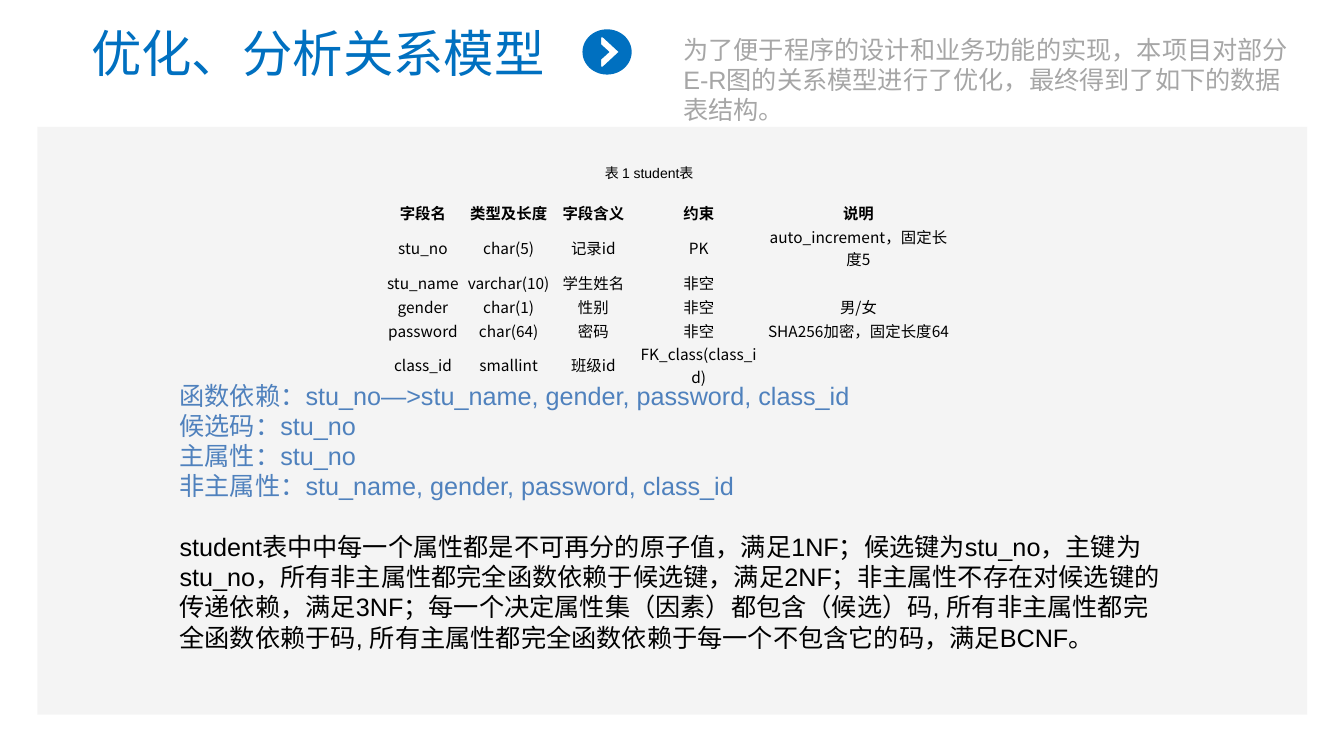
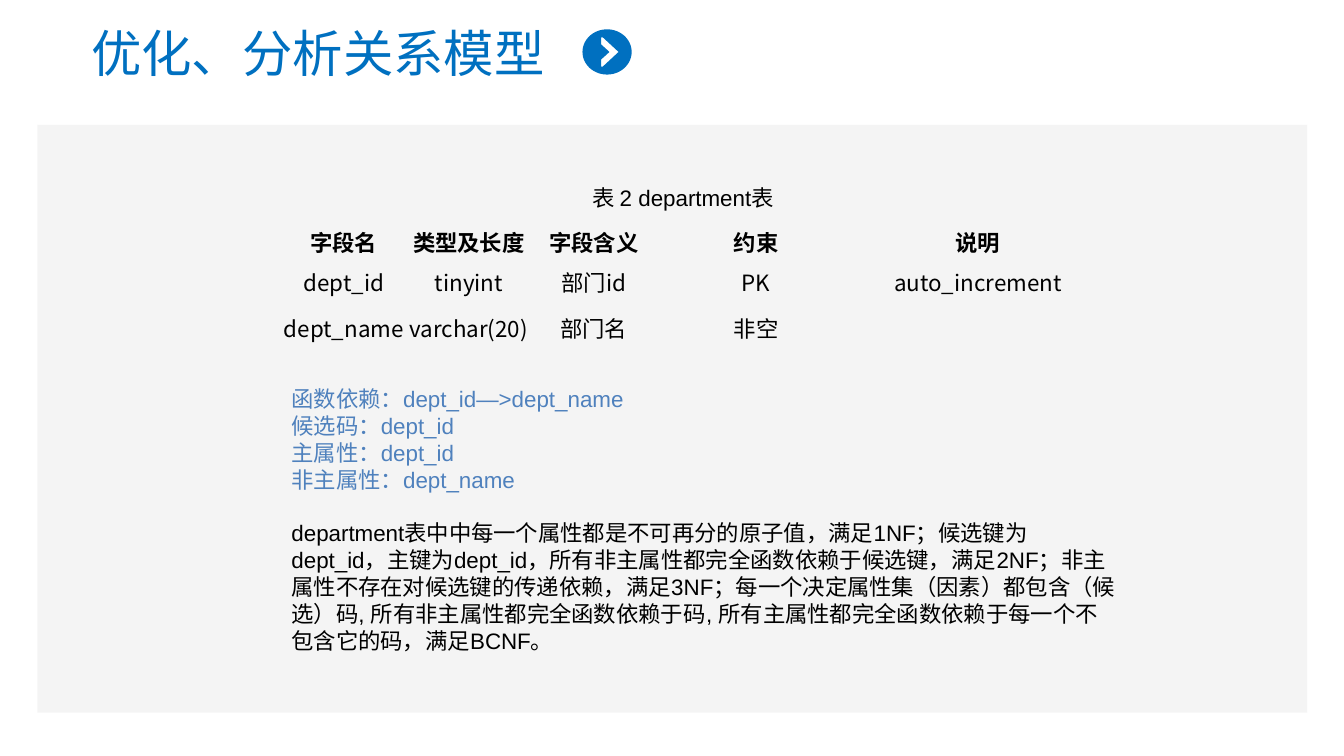
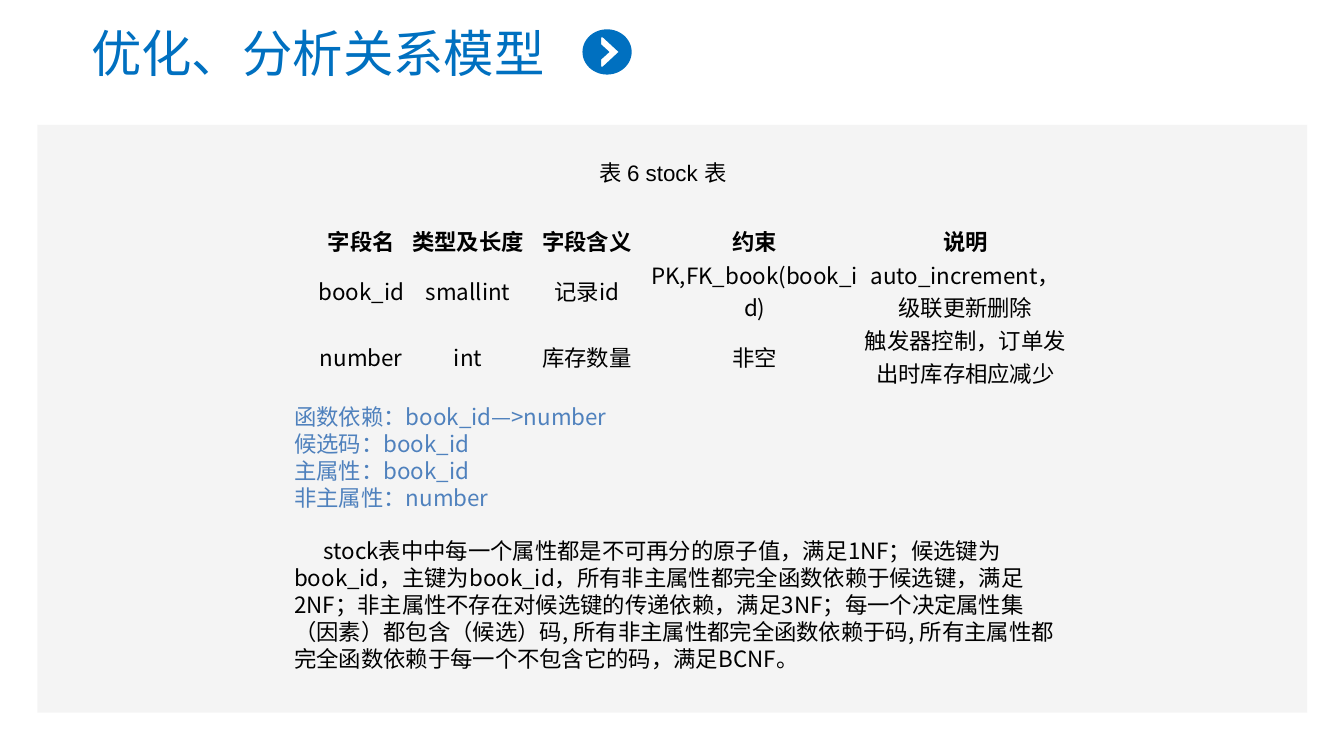
import math

from lxml import etree
from pptx import Presentation
from pptx import util as u
from pptx.dml.color import RGBColor
from pptx.enum import shapes, text
from pptx.oxml.ns import qn

HUES = {"blue": "0070C0", "note": "4F81BD", "grey": "A6A6A6",
        "panel": "F2F2F2", "black": "000000"}
SANS, CJK = "Arial", "Noto Sans CJK SC"
PLAIN = "{2D5ABB26-0587-4C30-8999-92F81FD0307C}"  # table style without grid
HEAD = ["字段名", "类型及长度", "字段含义", "约束", "说明"]
LEFT, MID = text.PP_ALIGN.LEFT, text.PP_ALIGN.CENTER


def hue(name):
    return RGBColor.from_string(HUES[name])


def box(area):
    return [u.Cm(n) for n in area]


class Deck:
    """Holds the shared style and the current slide."""

    def __init__(self):
        self.prs = Presentation()
        self.prs.slide_width, self.prs.slide_height = u.Cm(33.87), u.Cm(19.05)

    def start(self, title, top):
        """New slide with panel, title and round arrow."""
        self.slide = self.prs.slides.add_slide(self.prs.slide_layouts[1])
        self.shapes = self.slide.shapes
        self.panel((0.94, top, 32, 14.81))
        self.place(self.shapes.title, (1.7, 0.43, 12.62, 1.8))
        self.words(self.shapes.title, [title], 36, "blue", CJK, MID)
        self.arrow(15.3, 1.31)

    def panel(self, area):
        rect = self.shapes.add_shape(shapes.MSO_SHAPE.RECTANGLE, *box(area))
        self.paint(rect, "panel")
        tint = rect._element.spPr.find(qn("a:solidFill"))[0]
        etree.SubElement(tint, qn("a:alpha"), val="78000")
        self.shapes._spTree.insert(2, rect._element)  # behind the placeholders

    def paint(self, shape, name):
        shape.shadow.inherit = False
        shape.fill.solid()
        shape.fill.fore_color.rgb = hue(name)
        shape.line.fill.background()

    def arrow(self, x, y):
        """Disc with a chevron cut out of it."""
        turns = [math.tau * i / 72 for i in range(72)]
        disc = [(0.62 * math.cos(t), 0.57 * math.sin(t)) for t in turns]
        half = [(-0.11, 0.37), (-0.15, 0.37), (-0.15, 0.19)]
        notch = ([(0.29, 0)] + half + [(0.06, 0)]
                 + [(a, -b) for a, b in reversed(half)])
        rings = [[(u.Cm(x + a), u.Cm(y + b)) for a, b in ring]
                 for ring in (disc, notch)]
        pen = self.shapes.build_freeform(*rings[0][0])
        pen.add_line_segments(rings[0][1:])
        pen.move_to(*rings[1][0])
        pen.add_line_segments(rings[1][1:])
        self.paint(pen.convert_to_shape(), "blue")

    def place(self, shape, area):
        shape.left, shape.top, shape.width, shape.height = box(area)

    def style(self, para, size, name, face, align, bold=False):
        para.alignment = align
        font = para.font
        font.size, font.name, font.bold = u.Pt(size), face, bold
        font.color.rgb = hue(name)
        base = para._p.pPr.find(qn("a:defRPr"))
        etree.SubElement(base, qn("a:ea"), typeface=CJK)

    def words(self, shape, lines, size, name, face=SANS, align=LEFT):
        frame = shape.text_frame
        frame.word_wrap = True
        frame.auto_size = text.MSO_AUTO_SIZE.NONE
        frame.vertical_anchor = text.MSO_ANCHOR.TOP
        frame.text = "\n".join(lines)
        for para in frame.paragraphs:
            self.style(para, size, name, face, align)
            para.line_spacing = u.Pt(1.2 * size)
            para.space_before = u.Pt(0)
        return frame.paragraphs

    def label(self, line, area, size, name="black", align=LEFT):
        self.words(self.shapes.add_textbox(*box(area)), [line], size, name,
                   align=align)

    def table(self, spot, cols, rows, size, data):
        data = [HEAD] + data
        frame = self.shapes.add_table(len(rows), len(cols),
                                      *box((*spot, sum(cols), sum(rows))))
        grid = frame.table
        grid.first_row = grid.horz_banding = False
        grid._tbl.tblPr.find(qn("a:tableStyleId")).text = PLAIN
        for col, width in zip(grid.columns, cols):
            col.width = u.Cm(width)
        for r, (row, high) in enumerate(zip(grid.rows, rows)):
            row.height = u.Cm(high)
            for cell, word in zip(row.cells, data[r]):
                self.cell(cell, word, size, r == 0)

    def cell(self, cell, word, size, head):
        cell.fill.background()
        cell.margin_left = cell.margin_top = cell.margin_right = u.Cm(0.03)
        cell.margin_bottom = 0
        anchor = text.MSO_ANCHOR
        cell.vertical_anchor = anchor.BOTTOM if head else anchor.MIDDLE
        cell.text = word
        para = cell.text_frame.paragraphs[0]
        self.style(para, size, "black", CJK, MID, head)
        if not word:  # keeps an empty cell as low as its row
            etree.SubElement(para._p, qn("a:endParaRPr"), sz=str(size * 100))

    def notes(self, area, size, name, key, rest, face=SANS, indent=0):
        """Dependencies of a table and the normal forms it meets."""
        body = self.slide.placeholders[1]
        self.place(body, area)
        lines = [
            f"函数依赖：{key}—>{rest}",
            f"候选码：{key}",
            f"主属性：{key}",
            f"非主属性：{rest}",
            f"{name}表中中每一个属性都是不可再分的原子值，满足1NF；"
            f"候选键为{key}，主键为{key}，所有非主属性都完全函数依赖于候选键，"
            "满足2NF；非主属性不存在对候选键的传递依赖，满足3NF；"
            "每一个决定属性集（因素）都包含（候选）码, "
            "所有非主属性都完全函数依赖于码, "
            "所有主属性都完全函数依赖于每一个不包含它的码，满足BCNF。",
        ]
        paras = self.words(body, lines, size, "note", face)
        for para in paras:
            props = para._p.pPr
            props.set("marL", "0")
            props.set("indent", "0")
            base = props.find(qn("a:defRPr"))
            base.addprevious(etree.Element(qn("a:buNone")))
        last = paras[-1]
        last.font.color.rgb = hue("black")
        last.space_before = u.Pt(1.2 * size)
        last._p.pPr.set("indent", str(u.Cm(indent)))


def main():
    deck = Deck()
    title = "优化、分析关系模型"

    # Student table
    deck.start(title, 3.2)
    deck.label("为了便于程序的设计和业务功能的实现，本项目对部分E-R图的关系模型"
               "进行了优化，最终得到了如下的数据表结构。",
               (16.97, 0.74, 15.95, 2.57), 18, "grey")
    deck.label("表 1 student表", (9.3, 4.01, 14.12, 0.69), 10, align=MID)
    deck.table((9.58, 5.05), [2.16, 2.16, 2.11, 3.2, 4.85], [0.6] * 6, 11, [
        ["stu_no", "char(5)", "记录id", "PK", "auto_increment，固定长度5"],
        ["stu_name", "varchar(10)", "学生姓名", "非空", ""],
        ["gender", "char(1)", "性别", "非空", "男/女"],
        ["password", "char(64)", "密码", "非空", "SHA256加密，固定长度64"],
        ["class_id", "smallint", "班级id", "FK_class(class_id)", ""],
    ])
    deck.notes((4.27, 9.45, 25.32, 7.19), 18, "student", "stu_no",
               "stu_name, gender, password, class_id")

    # Department table
    deck.start(title, 3.15)
    deck.label("表 2 department表", (14.68, 4.52, 6.07, 0.94), 16)
    deck.table((7.09, 4.98), [3.15, 3.15, 3.15, 5.03, 6.15],
               [1.52, 1.17, 1.17], 16, [
        ["dept_id", "tinyint", "部门id", "PK", "auto_increment"],
        ["dept_name", "varchar(20)", "部门名", "非空", ""],
    ])
    deck.notes((7.09, 9.58, 21.39, 7.09), 16, "department", "dept_id",
               "dept_name")

    # Stock table
    deck.start(title, 3.15)
    deck.label("表 6 stock 表", (9.65, 3.89, 14.12, 0.94), 16, align=MID)
    deck.table((7.9, 5.08), [2.41, 2.97, 3.02, 5.44, 5.18], [1.4] * 3, 16, [
        ["book_id", "smallint", "记录id", "PK,FK_book(book_id)",
         "auto_increment，级联更新删除"],
        ["number", "int", "库存数量", "非空",
         "触发器控制，订单发出时库存相应减少"],
    ])
    deck.notes((7.16, 10.03, 19.76, 7.09), 16, "stock", "book_id", "number",
               CJK, 0.74)

    deck.prs.save("out.pptx")


if __name__ == "__main__":
    main()
